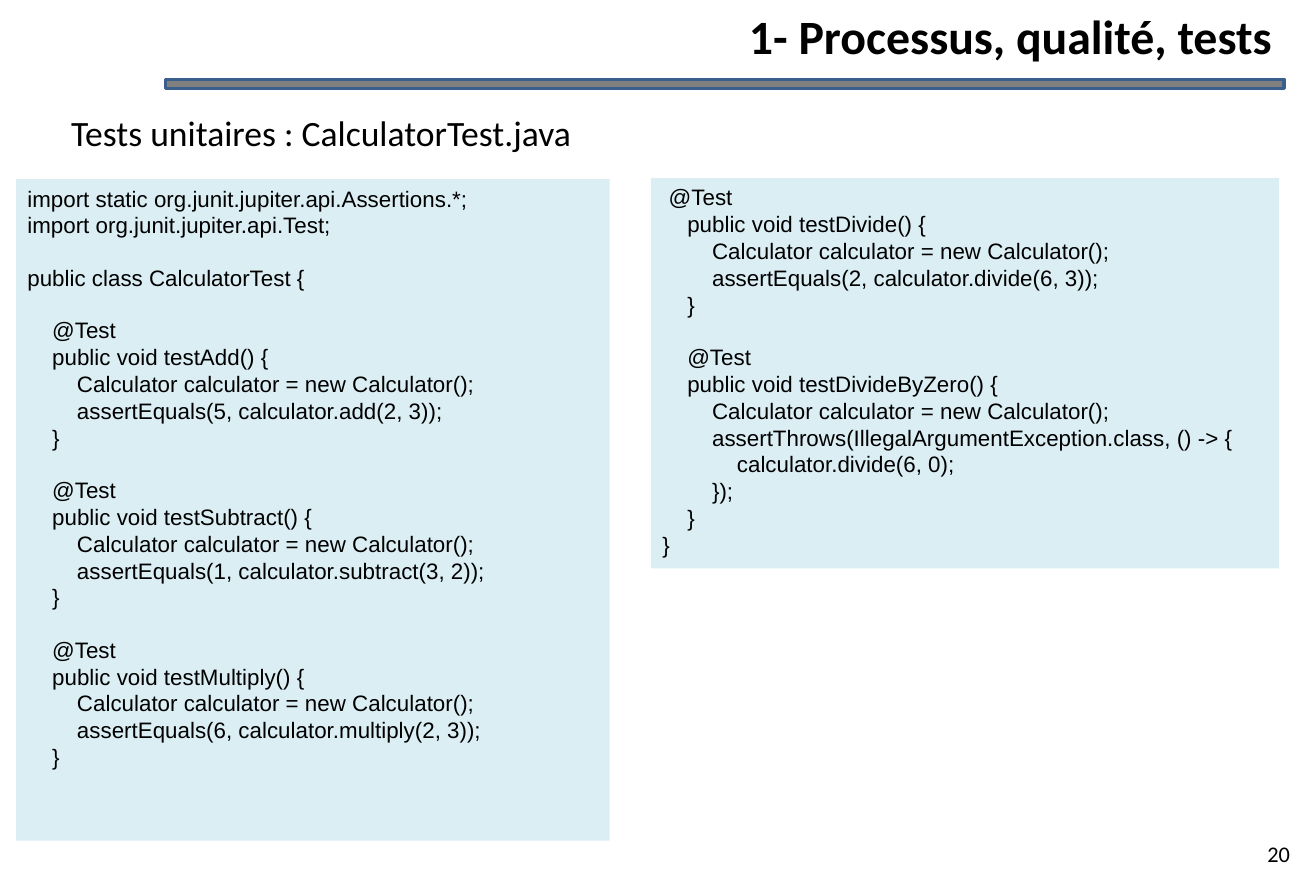
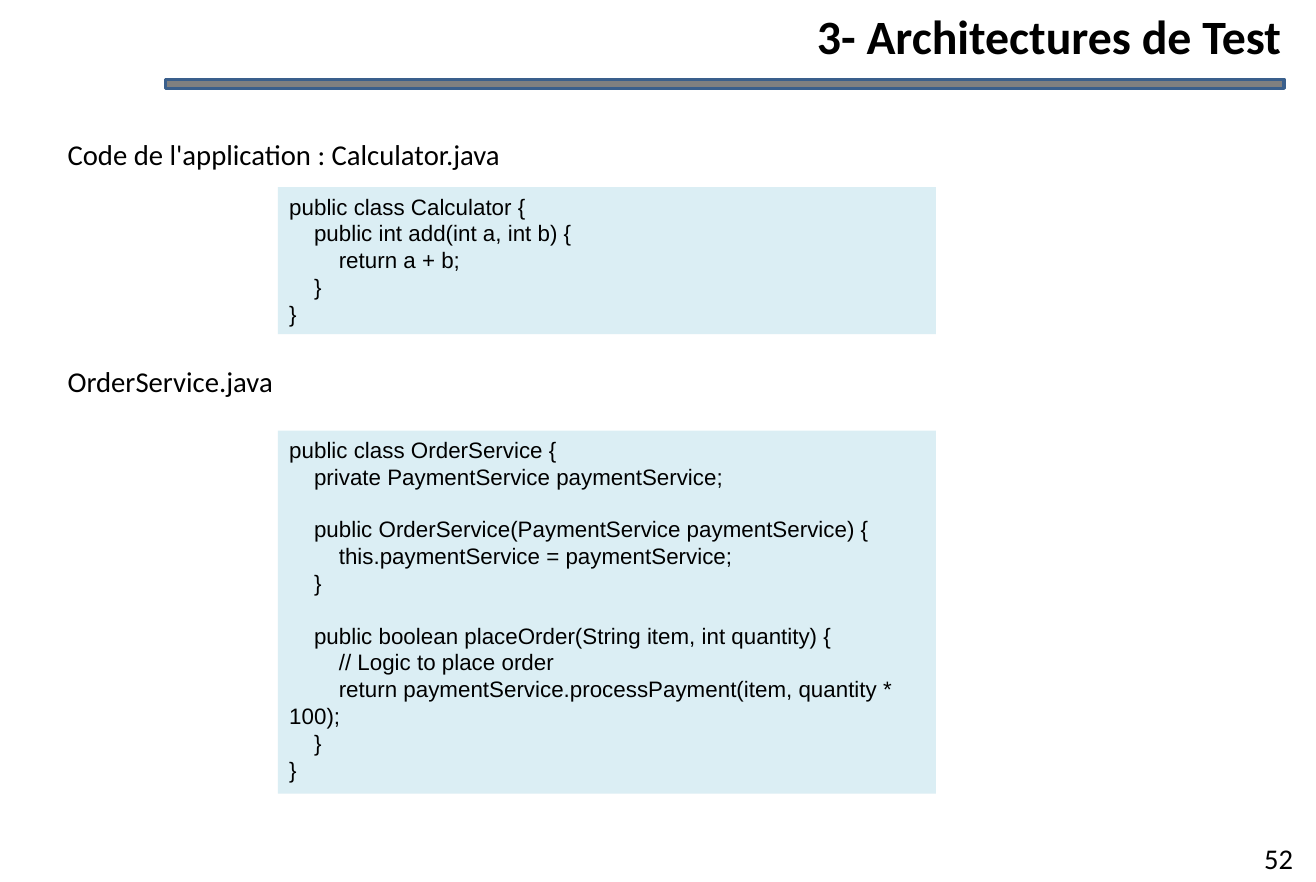
from pptx import Presentation
from pptx.dml.color import RGBColor
from pptx.enum.shapes import MSO_SHAPE
from pptx.enum.text import MSO_ANCHOR, PP_ALIGN
from pptx.util import Inches, Pt

RECT = MSO_SHAPE.RECTANGLE
TOP = MSO_ANCHOR.TOP
LEFT, CENTER, RIGHT = PP_ALIGN.LEFT, PP_ALIGN.CENTER, PP_ALIGN.RIGHT

COLORS = {
    "text": "000000",
    "bar": "808080",
    "bar_edge": "3A5F8C",
    "code": "DBEEF4",
}
CODE_SIZE = 14
CODE_LINE = 16.1

TEST_HEADER = """\
import static org.junit.jupiter.api.Assertions.*;
import org.junit.jupiter.api.Test;

public class CalculatorTest {"""

CALCULATOR = """\
public class Calculator {
    public int add(int a, int b) {
        return a + b;
    }
}"""

ORDER_SERVICE = """\
public class OrderService {
    private PaymentService paymentService;

    public OrderService(PaymentService paymentService) {
        this.paymentService = paymentService;
    }

    public boolean placeOrder(String item, int quantity) {
        // Logic to place order
        return paymentService.processPayment(item, quantity * 100);
    }
}"""


def test_method(name, *body, indent=4):
    """Java source of one test; indent applies to its annotation only."""
    lines = [" " * indent + "@Test",
             f"    public void test{name}() {{",
             "        Calculator calculator = new Calculator();"]
    lines += [" " * 8 + line for line in body]
    return "\n".join(lines + ["    }"])


class Deck:
    """Style and current slide; boxes are in percent of the slide's size."""

    def __init__(self, width, height):
        self.prs = Presentation()
        self.prs.slide_width = Inches(width)
        self.prs.slide_height = Inches(height)
        self.s = None

    def place(self, x, y, w, h):
        width, height = self.prs.slide_width, self.prs.slide_height
        return [int(share * side / 100) for share, side in
                ((x, width), (y, height), (w, width), (h, height))]

    def color(self, name):
        return RGBColor.from_string(COLORS[name])

    def new_slide(self, title, number, title_right, number_size):
        self.s = self.prs.slides.add_slide(self.prs.slide_layouts[6])
        bar = self.rect((12.57, 8.98, 85, 1.04), "bar")
        bar.line.color.rgb = self.color("bar_edge")
        bar.line.width = Pt(2)
        tf = self.text((title_right - 72, 0.78, 72, 6.5), title, 30, RIGHT, True)
        tf.margin_left = tf.margin_right = tf.margin_top = tf.margin_bottom = 0
        self.text((94.33, 94.66, 5.67, 5.34), number, number_size, CENTER)

    def rect(self, box, fill):
        sp = self.s.shapes.add_shape(RECT, *self.place(*box))
        sp.shadow.inherit = False
        sp.fill.solid()
        sp.fill.fore_color.rgb = self.color(fill)
        sp.line.fill.background()
        return sp

    def run(self, p, text, size, font, bold=False):
        r = p.add_run()
        r.text = text
        r.font.name = font
        r.font.size = Pt(size)
        r.font.bold = bold
        r.font.color.rgb = self.color("text")

    def text(self, box, text, size, align=LEFT, bold=False):
        tf = self.s.shapes.add_textbox(*self.place(*box)).text_frame
        tf.word_wrap = True
        p = tf.paragraphs[0]
        p.alignment = align
        self.run(p, text, size, "Calibri", bold)
        return tf

    def label(self, x, y, text, size):
        self.text((x, y, 92, 6.25), text, size)

    def code(self, box, source):
        """Code panel; an empty source line becomes space before the next."""
        tf = self.rect(box, "code").text_frame
        tf.word_wrap = True
        tf.vertical_anchor = TOP
        p, gap = tf.paragraphs[0], 0
        for i, line in enumerate(source.split("\n")):
            if not line:
                gap += CODE_LINE
                continue
            if i:
                p = tf.add_paragraph()
            p.alignment = LEFT
            if gap:
                p.space_before = Pt(gap)
            self.run(p, line, CODE_SIZE, "Arial")
            gap = 0


def unit_tests(deck):
    deck.new_slide("1- Processus, qualité, tests", "20", 96.69, 14)
    deck.label(4.54, 11.98, "Tests unitaires : CalculatorTest.java", 22.3)
    deck.code((1.22, 20.31, 45.11, 75), "\n\n".join([
        TEST_HEADER,
        test_method("Add", "assertEquals(5, calculator.add(2, 3));"),
        test_method("Subtract", "assertEquals(1, calculator.subtract(3, 2));"),
        test_method("Multiply", "assertEquals(6, calculator.multiply(2, 3));"),
    ]))
    divide = test_method("Divide", "assertEquals(2, calculator.divide(6, 3));",
                         indent=1)
    by_zero = test_method(
        "DivideByZero",
        "assertThrows(IllegalArgumentException.class, () -> {",
        "    calculator.divide(6, 0);",
        "});")
    deck.code((49.48, 20.18, 47.73, 44.27), f"{divide}\n\n{by_zero}\n}}")


def application_code(deck):
    deck.new_slide("3- Architectures de Test", "52", 97.38, 17.9)
    listings = [
        ("Code de l'application : Calculator.java", 14.84, CALCULATOR, 21.22, 16.67),
        ("OrderService.java", 40.63, ORDER_SERVICE, 48.83, 41.15),
    ]
    for name, label_y, source, y, h in listings:
        deck.label(4.28, label_y, name, 18)
        deck.code((21.12, y, 50, h), source)


def main():
    deck = Deck(11.46, 7.68)
    unit_tests(deck)
    application_code(deck)
    deck.prs.save("out.pptx")


if __name__ == "__main__":
    main()
